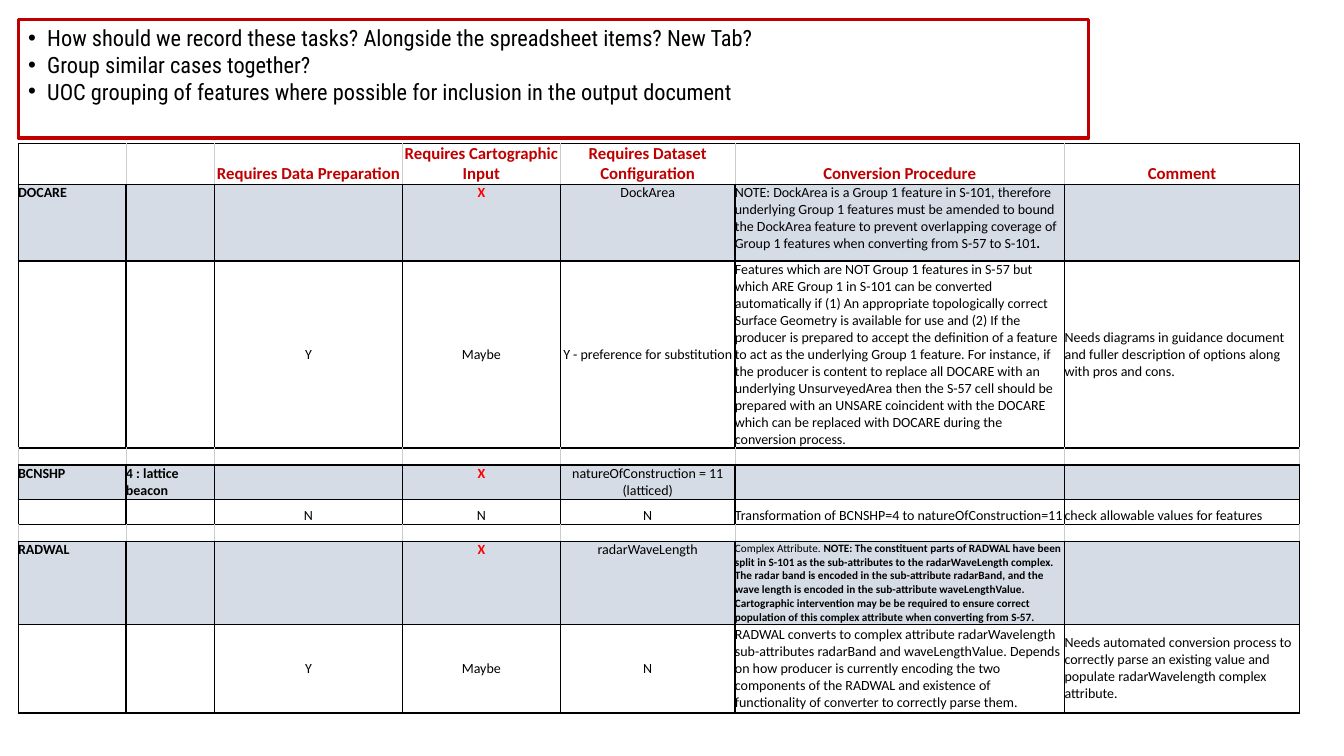
from dataclasses import dataclass

from lxml.etree import SubElement
from pptx import Presentation
from pptx.dml.color import RGBColor
from pptx.enum.shapes import MSO_SHAPE
from pptx.enum.text import MSO_ANCHOR, PP_ALIGN
from pptx.oxml.ns import qn
from pptx.slide import Slide
from pptx.table import _Cell
from pptx.util import Inches, Pt


@dataclass(frozen=True)
class Theme:
    """Colours, fonts and sizes of the slide."""
    ink: str = "000000"
    accent: str = "C00000"
    cross: str = "FF0000"
    shade: str = "D6DCE5"
    grid: str = "CCCCCC"
    table_font: str = "Calibri"
    box_font: str = "Roboto Condensed"
    header_size: float = 12
    body_size: float = 10
    note_size: float = 8
    box_size: float = 16
    thin: float = 0.43
    thick: float = 1
    frame: float = 2.25


@dataclass(frozen=True)
class Span:
    """A stretch of text of one weight."""
    text: str
    bold: bool = False


@dataclass(frozen=True)
class Entry:
    """The content of one table cell."""
    spans: tuple[Span, ...] = ()
    color: str = Theme.ink
    size: float = Theme.body_size


@dataclass(frozen=True)
class Row:
    """One table row; open rows have grey inner rules."""
    height: float
    entries: tuple[Entry, ...]
    anchor: MSO_ANCHOR = MSO_ANCHOR.TOP
    shaded: bool = False
    header: bool = False
    open: bool = False


def plain(text: str) -> Entry:
    """Return regular body text."""
    return Entry((Span(text),))


def label(text: str) -> Entry:
    """Return bold body text."""
    return Entry((Span(text, True),))


def heading(text: str) -> Entry:
    """Return a column heading."""
    return Entry((Span(text, True),), THEME.accent, THEME.header_size)


THEME = Theme()
EMPTY = Entry()
CROSS = Entry((Span("X", True),), THEME.cross)
COLUMNS = (1.07, 0.88, 1.86, 1.57, 1.73, 3.27, 2.33)
CENTERED_COLUMNS = range(2, 5)
SPACER = Row(0.17, (EMPTY,) * len(COLUMNS), open=True)
ROWS = (
    Row(0.41, (
        EMPTY, EMPTY, heading("Requires Data Preparation"),
        heading("Requires Cartographic Input"),
        heading("Requires Dataset Configuration"),
        heading("Conversion Procedure"), heading("Comment"),
    ), MSO_ANCHOR.BOTTOM, header=True, open=True),
    Row(0.76, (
        label("DOCARE"), EMPTY, EMPTY, CROSS, plain("DockArea"),
        Entry((
            Span("NOTE: DockArea is a Group 1 feature in S-101, therefore underlying Group 1 "
                 "features must be amended to bound the DockArea feature to prevent overlapping "
                 "coverage of Group 1 features when converting from S-57 to S-101"),
            Span(".", True),
        )), EMPTY,
    ), shaded=True),
    Row(1.85, (
        EMPTY, EMPTY, plain("Y"), plain("Maybe"), plain("Y - preference for substitution"),
        plain("Features which are NOT Group 1 features in S-57 but which ARE Group 1 in S-101 "
              "can be converted automatically if (1) An appropriate topologically correct "
              "Surface Geometry is available for use and (2) If the producer is prepared to "
              "accept the definition of a feature to act as the underlying Group 1 feature. "
              "For instance, if the producer is content to replace all DOCARE with an "
              "underlying UnsurveyedArea then the S-57 cell should be prepared with an UNSARE "
              "coincident with the DOCARE which can be replaced with DOCARE during the "
              "conversion process."),
        plain("Needs diagrams in guidance document and fuller description of options along "
              "with pros and cons."),
    ), MSO_ANCHOR.MIDDLE),
    SPACER,
    Row(0.34, (
        label("BCNSHP"), label("4 : lattice beacon"), EMPTY, CROSS,
        plain("natureOfConstruction = 11 (latticed)"), EMPTY, EMPTY,
    ), shaded=True),
    Row(0.25, (
        EMPTY, EMPTY, plain("N"), plain("N"), plain("N"),
        plain("Transformation of BCNSHP=4 to natureOfConstruction=11"),
        plain("check allowable values for features"),
    ), MSO_ANCHOR.BOTTOM),
    SPACER,
    Row(0.82, (
        label("RADWAL"), EMPTY, EMPTY, CROSS, plain("radarWaveLength"),
        Entry((
            Span("Complex Attribute. "),
            Span("NOTE: The constituent parts of RADWAL have been split in S-101 as the "
                 "sub-attributes to the radarWaveLength complex. The radar band is encoded in "
                 "the sub-attribute radarBand, and the wave length is encoded in the "
                 "sub-attribute waveLengthValue. Cartographic intervention may be be required "
                 "to ensure correct population of this complex attribute when converting "
                 "from S-57.", True),
        ), size=THEME.note_size), EMPTY,
    ), shaded=True),
    Row(0.88, (
        EMPTY, EMPTY, plain("Y"), plain("Maybe"), plain("N"),
        plain("RADWAL converts to complex attribute radarWavelength sub-attributes radarBand "
              "and waveLengthValue. Depends on how producer is currently encoding the two "
              "components of the RADWAL and existence of functionality of converter to "
              "correctly parse them."),
        plain("Needs automated conversion process to correctly parse an existing value and "
              "populate radarWavelength complex attribute."),
    ), MSO_ANCHOR.MIDDLE),
)
QUESTIONS = (
    "How should we record these tasks? Alongside the spreadsheet items? New Tab?",
    "Group similar cases together?",
    "UOC grouping of features where possible for inclusion in the output document",
)


def draw_borders(cell: _Cell, row: Row, column: int) -> None:
    """Rule the four sides of a cell."""
    black = (THEME.ink, THEME.thick)
    outer = (THEME.ink, THEME.thin)
    inner = (THEME.grid, THEME.thin) if row.open else black
    left = outer if row.header and column == 0 else inner
    right = outer if row.header and column == len(COLUMNS) - 1 else inner
    top = outer if row.header else black
    properties = cell._tc.get_or_add_tcPr()
    for side, (color, width) in zip("LRTB", (left, right, top, black)):
        line = SubElement(properties, qn(f"a:ln{side}"), w=str(int(Pt(width))))
        SubElement(SubElement(line, qn("a:solidFill")), qn("a:srgbClr"), val=color)


def fill_cell(cell: _Cell, row: Row, column: int, entry: Entry) -> None:
    """Format a cell and write its entry."""
    cell.margin_left = cell.margin_right = cell.margin_top = cell.margin_bottom = 0
    cell.vertical_anchor = row.anchor
    draw_borders(cell, row, column)
    if row.shaded:
        cell.fill.solid()
        cell.fill.fore_color.rgb = RGBColor.from_string(THEME.shade)
    else:
        cell.fill.background()
    para = cell.text_frame.paragraphs[0]
    centered = row.header or column in CENTERED_COLUMNS
    para.alignment = PP_ALIGN.CENTER if centered else PP_ALIGN.LEFT
    para.font.name = THEME.table_font
    para.font.size = Pt(entry.size)
    para.font.color.rgb = RGBColor.from_string(entry.color)
    for span in entry.spans:
        run = para.add_run()
        run.text = span.text
        run.font.bold = span.bold
    if not entry.spans:
        SubElement(para._p, qn("a:endParaRPr"), sz=str(int(entry.size * 100)))


def add_conversion_table(page: Slide) -> None:
    """Draw the table of conversion tasks."""
    height = sum(row.height for row in ROWS)
    table = page.shapes.add_table(len(ROWS), len(COLUMNS), Inches(0.18), Inches(1.42),
                                  Inches(sum(COLUMNS)), Inches(height)).table
    table.first_row = table.horz_banding = False
    for column, width in enumerate(COLUMNS):
        table.columns[column].width = Inches(width)
    for index, row in enumerate(ROWS):
        table.rows[index].height = Inches(row.height)
        for column, entry in enumerate(row.entries):
            fill_cell(table.cell(index, column), row, column, entry)


def add_question_box(page: Slide) -> None:
    """Draw the framed list of questions."""
    box = page.shapes.add_shape(MSO_SHAPE.RECTANGLE, Inches(0.18), Inches(0.19),
                                Inches(10.62), Inches(1.18))
    box.shadow.inherit = False
    box.fill.background()
    box.line.color.rgb = RGBColor.from_string(THEME.accent)
    box.line.width = Pt(THEME.frame)
    frame = box.text_frame
    frame.word_wrap = True
    frame.vertical_anchor = MSO_ANCHOR.TOP
    frame.text = "\n".join(QUESTIONS)
    indent = int(Inches(0.19))
    for para in frame.paragraphs:
        para.alignment = PP_ALIGN.LEFT
        para.font.name = THEME.box_font
        para.font.size = Pt(THEME.box_size)
        para.font.color.rgb = RGBColor.from_string(THEME.ink)
        properties = para._p.get_or_add_pPr()
        properties.set("marL", str(indent))
        properties.set("indent", str(-indent))
        bullet_font = properties.makeelement(qn("a:buFont"), {"typeface": "Arial"})
        bullet = properties.makeelement(qn("a:buChar"), {"char": "•"})
        properties.insert(0, bullet_font)
        properties.insert(1, bullet)


def main() -> None:
    """Build and save the slide."""
    deck = Presentation()
    deck.slide_width, deck.slide_height = Inches(13.33), Inches(7.5)
    page = deck.slides.add_slide(deck.slide_layouts[6])
    add_conversion_table(page)
    add_question_box(page)
    deck.save("out.pptx")


if __name__ == "__main__":
    main()
